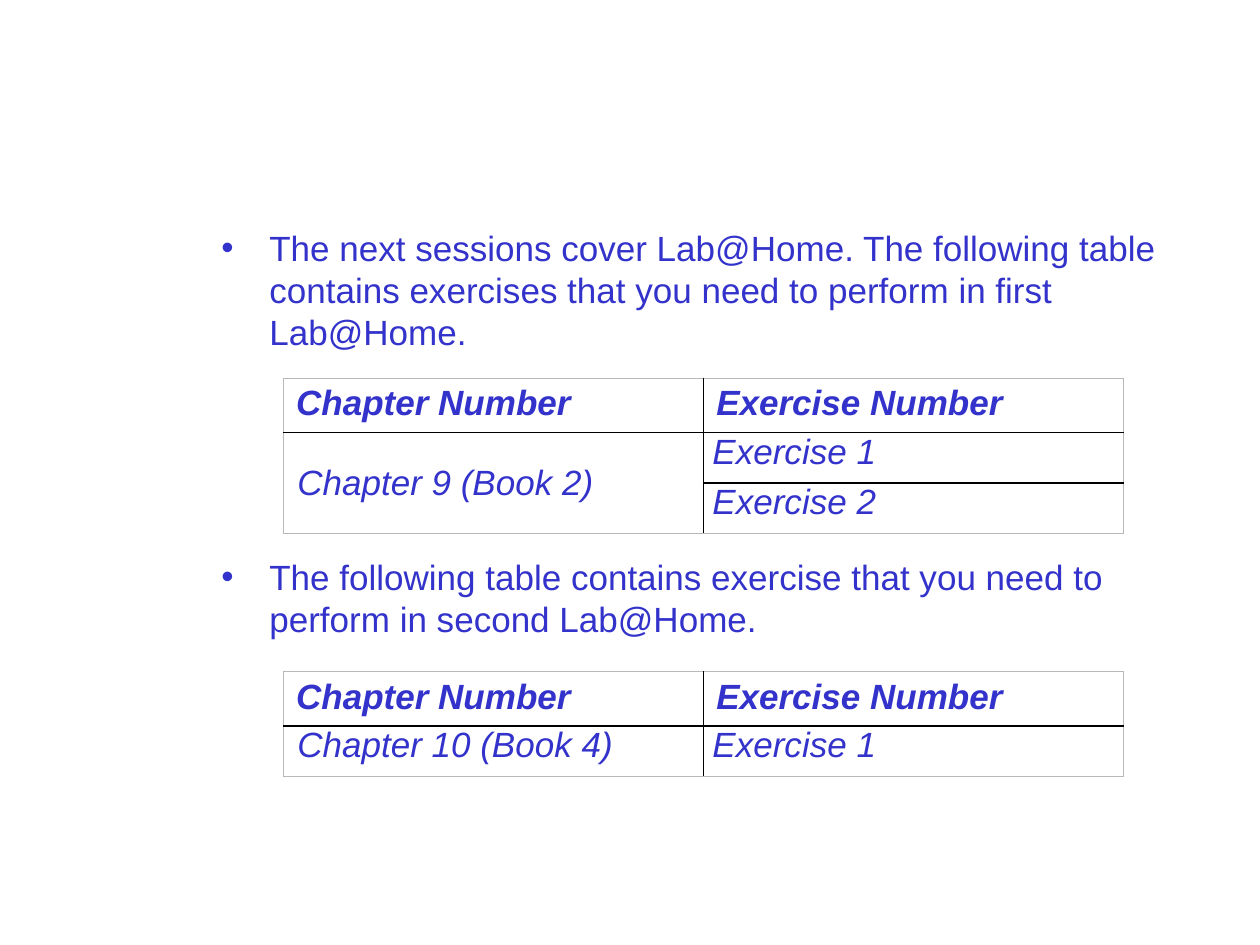
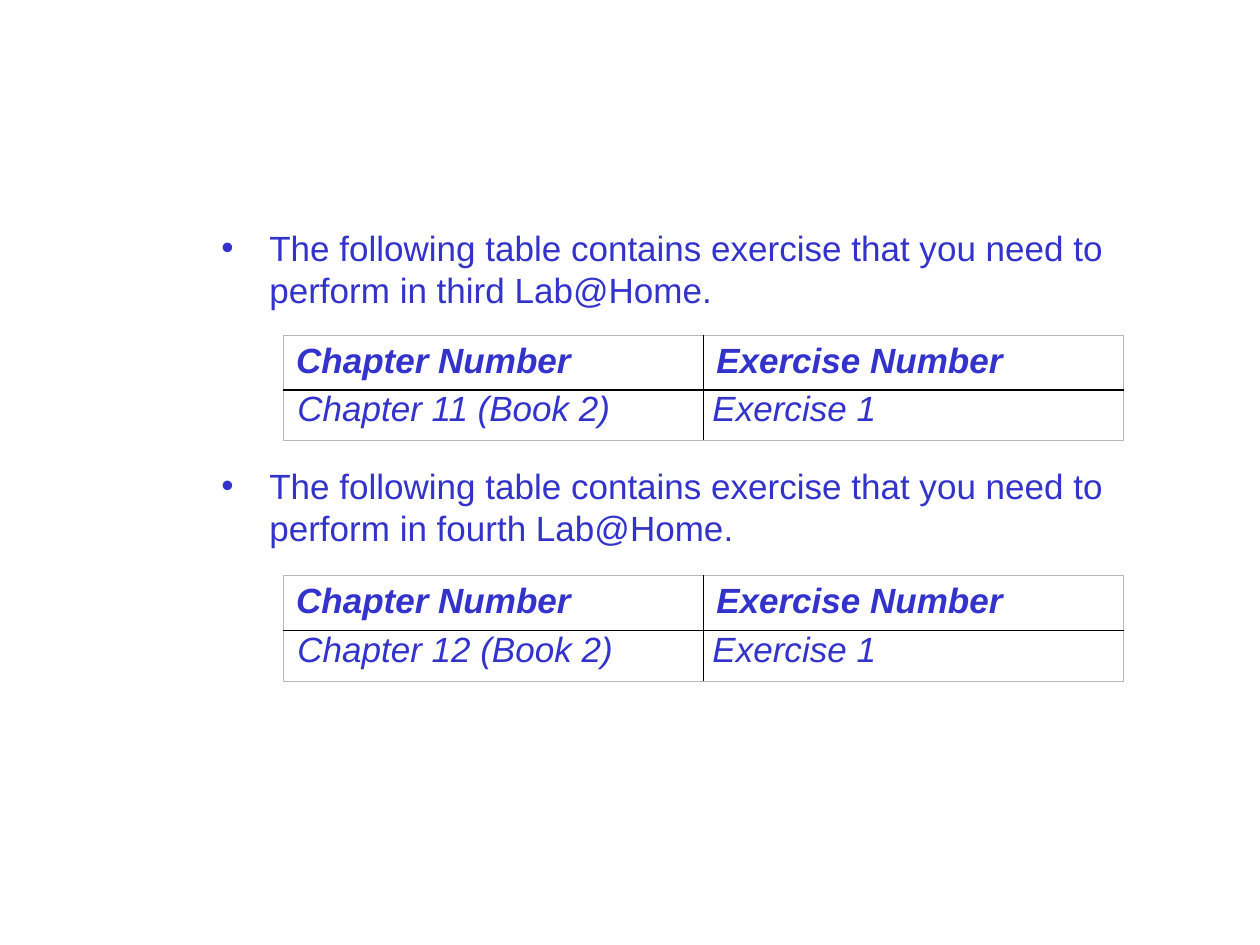
from lxml.etree import SubElement
from pptx import Presentation
from pptx.dml.color import RGBColor
from pptx.enum.text import MSO_ANCHOR as Anchor
from pptx.oxml.ns import qn
from pptx.util import Inches, Pt

COLORS = {"text": "3333CC", "inner": "000000", "outer": "B8B8B8"}
FONT = {"name": "Arial", "size": Pt(20)}
HEADINGS = ["Chapter Number", "Exercise Number"]
BODY_MARGINS = {"margin_left": Inches(0.07), "margin_right": Inches(0.07),
                "margin_top": 0, "margin_bottom": 0}
BODY_SPACING = {"space_before": Pt(6), "space_after": Pt(4)}
TABLE_LEFT, TABLE_WIDTH, ROW_HEIGHT = 2.25, 6.67, 0.4
BLANK_LAYOUT = 6

# Each slide: bullets, space before the second bullet in points,
# and tables as (top, chapter, exercises).
SLIDES = [
    (["The next sessions cover Lab@Home. The following table contains "
      "exercises that you need to perform in first Lab@Home.",
      "The following table contains exercise that you need to perform in "
      "second Lab@Home."], 116,
     [(3, "Chapter 9 (Book 2)", ["Exercise 1", "Exercise 2"]),
      (5.33, "Chapter 10 (Book 4)", ["Exercise 1"])]),
    (["The following table contains exercise that you need to perform in "
      "third Lab@Home.",
      "The following table contains exercise that you need to perform in "
      "fourth Lab@Home."], 88,
     [(2.66, "Chapter 11 (Book 2)", ["Exercise 1"]),
      (4.57, "Chapter 12 (Book 2)", ["Exercise 1"])]),
]


def apply(target, values):
    """Set every attribute in values on target."""
    for name, value in values.items():
        setattr(target, name, value)


def write(para, text, **style):
    """Add a run of text in the deck's font and colour."""
    span = para.add_run()
    span.text = text
    apply(span.font, {**FONT, **style})
    span.font.color.rgb = RGBColor.from_string(COLORS["text"])


def indent(para, left, first=0):
    """Set the left margin and first-line indent in inches."""
    props = para._p.get_or_add_pPr()
    props.set("marL", str(Inches(left)))
    props.set("indent", str(Inches(first)))
    return props


def add_bullets(page, texts, gap):
    """Add the bulleted text, leaving a gap for the table between items."""
    box = page.shapes.add_textbox(Inches(1.66), Inches(1.75), Inches(8), Inches(5))
    frame = box.text_frame
    frame.word_wrap = True
    for index, text in enumerate(texts):
        para = frame.add_paragraph() if index else frame.paragraphs[0]
        para.space_before = Pt(gap if index else 4)
        props = indent(para, 0.38, -0.38)
        SubElement(props, qn("a:buFont"), typeface="Arial")
        SubElement(props, qn("a:buChar"), char="•")
        write(para, text)


def set_borders(cell, outer_edges):
    """Draw grey lines on the table's outer edges and black ones inside."""
    props = cell._tc.get_or_add_tcPr()
    for edge in "LRTB":
        outer = edge in outer_edges
        line = SubElement(props, qn(f"a:ln{edge}"), w=str(Pt(0.5 if outer else 1)))
        fill = SubElement(line, qn("a:solidFill"))
        SubElement(fill, qn("a:srgbClr"), val=COLORS["outer" if outer else "inner"])


def fill_body_cell(cell, text):
    """Write an italic entry with the body margins and spacing."""
    apply(cell, BODY_MARGINS)
    para = cell.text_frame.paragraphs[0]
    apply(para, BODY_SPACING)
    write(para, text, bold=False, italic=True)
    return para


def add_exercise_table(page, top, chapter, exercises):
    """Add a table of one chapter and its exercises."""
    count = len(exercises) + 1
    table = page.shapes.add_table(
        count, 2, Inches(TABLE_LEFT), Inches(top),
        Inches(TABLE_WIDTH), Inches(count * ROW_HEIGHT)).table
    apply(table, {"first_row": False, "horz_banding": False})
    chapter_cell = table.cell(1, 0)
    if len(exercises) > 1:
        chapter_cell.merge(table.cell(count - 1, 0))
        chapter_cell.vertical_anchor = Anchor.MIDDLE
    for row_index, row in enumerate(table.rows):
        row.height = Inches(ROW_HEIGHT)
        for column, cell in enumerate(row.cells):
            last_row = row_index + (cell.span_height if cell.is_merge_origin else 1)
            outer_edges = "LR"[column]
            outer_edges += "T" if row_index == 0 else ""
            outer_edges += "B" if last_row == count else ""
            set_borders(cell, outer_edges)
            cell.fill.background()
    for column, heading in enumerate(HEADINGS):
        para = table.cell(0, column).text_frame.paragraphs[0]
        write(para, heading, bold=True, italic=True)
    indent(fill_body_cell(chapter_cell, chapter), 0.04)
    for row_index, exercise in enumerate(exercises, 1):
        fill_body_cell(table.cell(row_index, 1), exercise)


def main():
    """Build and save the deck."""
    deck = Presentation()
    apply(deck, {"slide_width": Inches(10), "slide_height": Inches(7.5)})
    for bullets, gap, tables in SLIDES:
        page = deck.slides.add_slide(deck.slide_layouts[BLANK_LAYOUT])
        add_bullets(page, bullets, gap)
        for table in tables:
            add_exercise_table(page, *table)
    deck.save("out.pptx")


main()
